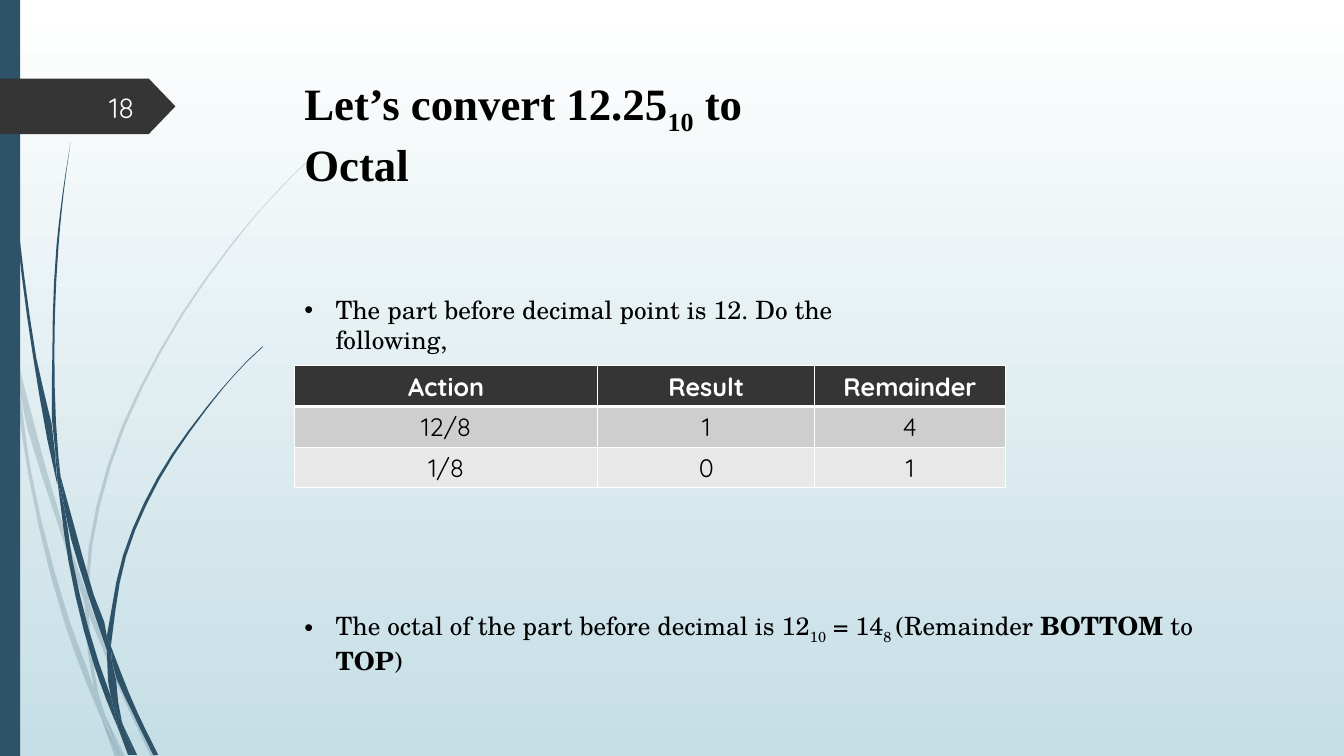
from pptx import Presentation
from pptx.dml.color import RGBColor
from pptx.enum.shapes import MSO_SHAPE
from pptx.enum.text import MSO_ANCHOR, PP_ALIGN
from pptx.oxml.ns import qn
from pptx.util import Emu, Inches, Pt
from lxml import etree

RECT, TAG = MSO_SHAPE.RECTANGLE, MSO_SHAPE.PENTAGON
TOP, MIDDLE = MSO_ANCHOR.TOP, MSO_ANCHOR.MIDDLE
LEFT, CENTER, RIGHT = PP_ALIGN.LEFT, PP_ALIGN.CENTER, PP_ALIGN.RIGHT
W, H = 13.33, 7.5
MARGIN = 2.92
COLORS = {"sky": "C5DEE5", "white": "FFFFFF", "navy": "2E5369", "dark": "353535",
          "black": "000000", "band1": "CECECE", "band2": "E8E8E8", "number": "FEFFFF"}
TITLE = {"size": Pt(32), "name": "Times New Roman", "bold": True}
BODY = {"size": Pt(18), "name": "TeX Gyre Schola"}
CELL = {"size": Pt(18), "name": "Quicksand"}
NUMBER = {"size": Pt(20), "name": "Quicksand"}
SUB = {"baseline": "-25000"}
ROWS = [["Action", "Result", "Remainder"], ["12/8", "1", "4"], ["1/8", "0", "1"]]

PALE_WISPS = [
    ".11,3.5 .09,3.22 0,2.82|0,2.99 .1,3.44 .11,3.5",
    ".14,3.45 .17,3.76 .58,5.22 .84,5.99|.85,5.86 .62,5.2 .14,3.45",
    ".88,5.96 .88,6.1|.88,6.1 1.23,6.94 1.5,7.51|1.55,7.51 1.27,6.92 .92,6.07 .88,5.96",
    "1.05,7.11 1.19,7.51|1.24,7.51 1.05,7.11",
    ".11,3.5 .17,3.76 .31,4.69 .7,6.19 .93,6.83 .99,7.07 1.01,7.14"
    "|1.01,7.14 .92,6.93 .65,6.21 .28,4.7 .11,3.5",
    ".84,5.99 .87,6.46 .93,6.83 .96,6.92 1.05,7.11"
    "|1.05,7.11 1.03,7.06 .91,6.46 .88,6.1 .88,6.08 .84,5.99",
    ".88,5.96 .88,5.84 1.1,4.62 1.6,3.49 2.29,2.45 2.68,1.98 2.9,1.75 3.12,1.54"
    "|3.12,1.53 2.89,1.75 2.68,1.97 2.28,2.44 1.58,3.48 1.07,4.61 .85,5.84 .85,5.86",
    "1.01,7.14 1.14,7.51|1.19,7.51 1.01,7.14",
    ".84,5.99 .88,6.08 .88,6.1|.88,5.96 .85,5.86",
    ".93,6.83 .99,7.07 1.01,7.14 1.19,7.51|1.19,7.51 1.05,7.11 .96,6.92 .93,6.83",
]
DARK_WISPS = [
    ".03,0 .04,.48 .07,1.1 .17,2.33 .33,3.55 .56,4.77 .57,4.81"
    "|.57,4.81 .55,4.57 .55,4.53 .36,3.55 .19,2.32 .08,1.09 .05,.48 .04,0",
    ".6,4.72 .64,5.05 .88,5.92 1.06,6.45|1.06,6.33 1.06,6.31 .93,5.9 .6,4.72",
    "1.1,6.41 1.11,6.56 1.32,7.08 1.52,7.49|1.57,7.49 1.36,7.06 1.13,6.49 1.1,6.41",
    ".57,4.77 .68,5.57 .93,6.59 1.11,7.08 1.17,7.22"
    "|1.17,7.22 1.16,7.17 1.1,6.91 .98,6.57 .72,5.56 .64,5.05 .57,4.77",
    ".6,4.72 .58,4.53 .54,3.49 .58,2.45 .63,1.93 .7,1.41"
    "|.7,1.41 .62,1.93 .56,2.45 .52,3.49 .55,4.49 .6,4.72",
    "1.22,7.19 1.33,7.49|1.36,7.49 1.22,7.19",
    ".55,4.49 .55,4.53 .57,4.77 .64,5.05|.64,5.05 .6,4.72 .55,4.49",
    "1.1,6.41 1.11,6.33 1.25,5.52 1.58,4.76 2.05,4.06 2.31,3.74 2.45,3.59 2.61,3.44"
    "|2.6,3.44 2.45,3.58 2.31,3.73 2.04,4.05 1.56,4.74 1.22,5.51 1.06,6.31",
    "1.17,7.22 1.27,7.49|1.31,7.49 1.17,7.22",
    "1.06,6.45 1.1,6.91 1.16,7.06 1.22,7.19|1.22,7.19 1.21,7.16 1.11,6.56 1.09,6.51 1.06,6.45",
    "1.06,6.31 1.06,6.45|1.09,6.51 1.11,6.56|1.1,6.41 1.06,6.31",
    "1.1,6.91 1.16,7.17 1.17,7.22 1.3,7.49|1.33,7.49 1.22,7.19 1.16,7.06 1.1,6.91",
]


def rgb(name):
    """Look up a colour by its name."""
    return RGBColor.from_string(COLORS[name])


def paint(sp, color, alpha=None):
    """Give a shape a plain fill, without line or shadow."""
    sp.shadow.inherit = False
    sp.fill.solid()
    sp.fill.fore_color.rgb = rgb(color)
    sp.line.fill.background()
    if alpha:
        clr = sp.fill._xPr.find(".//" + qn("a:srgbClr"))
        etree.SubElement(clr, qn("a:alpha")).set("val", str(alpha * 1000))


def smooth(edge):
    """Return points on a curve through the knots of an edge, more on long spans."""
    knots = [complex(*map(float, k.split(","))) for k in edge.split()]
    spans = [b - a for a, b in zip(knots, knots[1:])]
    aims = [v / abs(v) for v in spans]
    turns = [(a * abs(w) + b * abs(v)) / (abs(v) + abs(w))
             for a, b, v, w in zip(aims, aims[1:], spans, spans[1:])]
    turns = [aims[0]] + turns + [aims[-1]]
    points = [knots[0]]
    for a, v, m, n in zip(knots, spans, turns, turns[1:]):
        steps = 1 if abs(v) < 0.4 else 3
        for t in (i / steps for i in range(1, steps + 1)):
            bend = m * t * (1 - t) ** 2 - n * t * t * (1 - t)
            points.append(a + v * t * t * (3 - 2 * t) + abs(v) * bend)
    return points


def add_wisps(s, x, y, wisps, alpha=None):
    """Draw a group of curved blades from the given corner."""
    shapes = s.shapes.add_group_shape().shapes
    for wisp in wisps:
        curve = [z for edge in wisp.split("|") for z in smooth(edge)]
        points = [(Inches(x + z.real), Inches(y + z.imag)) for z in dict.fromkeys(curve)]
        fb = shapes.build_freeform(*points[0], scale=1.0)
        fb.add_line_segments(points[1:], close=True)
        paint(fb.convert_to_shape(), "navy", alpha)


def write(p, runs, font, color, align=LEFT):
    """Fill a paragraph with runs of text and format changes."""
    p.alignment = align
    for text, changes in runs:
        r = p.add_run()
        r.text = text
        r.font.color.rgb = rgb(color)
        for key, value in {**font, **changes}.items():
            if key == "baseline":
                r.font._element.set(key, value)
            else:
                setattr(r.font, key, value)


def add_text(s, box, runs, font, color="black", align=LEFT, anchor=TOP, bullet=False):
    """Place one wrapped paragraph in a box."""
    tf = s.shapes.add_textbox(*map(Inches, box)).text_frame
    tf.word_wrap, tf.vertical_anchor = True, anchor
    p = tf.paragraphs[0]
    write(p, runs, font, color, align)
    if bullet:
        pPr = p._p.get_or_add_pPr()
        pPr.set("marL", str(Inches(0.31)))
        pPr.set("indent", str(-Inches(0.31)))
        etree.SubElement(pPr, qn("a:buFont")).set("typeface", "Arial")
        etree.SubElement(pPr, qn("a:buChar")).set("char", "•")


def add_borders(cell, bottom):
    """Draw white borders round a cell, before its fill."""
    tcPr = cell._tc.get_or_add_tcPr()
    for i, (side, width) in enumerate((("L", 1), ("R", 1), ("T", 1), ("B", bottom))):
        ln = etree.Element(qn("a:ln" + side), w=str(Pt(width)))
        fill = etree.SubElement(ln, qn("a:solidFill"))
        etree.SubElement(fill, qn("a:srgbClr")).set("val", COLORS["white"])
        tcPr.insert(i, ln)


def add_division_table(s, x, y, widths, height):
    """Build the table of divisions and remainders."""
    box = map(Inches, (x, y, sum(widths), height))
    table = s.shapes.add_table(len(ROWS), len(widths), *box).table
    for col, width in zip(table.columns, widths):
        col.width = Inches(width)
    styles = [("dark", "white", True, 3), ("band1", "black", False, 1), ("band2", "black", False, 1)]
    for i, (row, (fill, color, bold, bottom)) in enumerate(zip(ROWS, styles)):
        for j, text in enumerate(row):
            cell = table.cell(i, j)
            cell.fill.solid()
            cell.fill.fore_color.rgb = rgb(fill)
            add_borders(cell, bottom)
            write(cell.text_frame.paragraphs[0], [(text, {"bold": bold})], CELL, color, CENTER)


def add_backdrop(s):
    """Draw the gradient, the wisps, the side bar and the number tag."""
    fill = s.background.fill
    fill.gradient()
    fill.gradient_angle = 270
    for stop, color in zip(fill.gradient_stops, ("white", "sky")):
        stop.color.rgb = rgb(color)
    add_wisps(s, 0, 0, PALE_WISPS, 20)
    add_wisps(s, 0, 0, DARK_WISPS)
    paint(s.shapes.add_shape(RECT, Emu(0), Emu(0), Inches(0.2), Inches(H)), "navy")
    tag = s.shapes.add_shape(TAG, *map(Inches, (0, 0.78, 1.74, 0.55)))
    tag.adjustments[0] = 0.48
    paint(tag, "dark")
    add_text(s, (0.58, 0.86, 0.85, 0.4), [("18", {})], NUMBER, "number", RIGHT, MIDDLE)


def add_content(s, x):
    """Place the title, the two bullets and the table along a left margin."""
    add_text(s, (x, 0.7, 5.44, 0.64),
             [("Let’s convert 12.25", {}), ("10", SUB), (" to Octal", {})], TITLE)
    add_text(s, (x, 2.87, 6.43, 1.21),
             [("The part before decimal point is 12. Do the following,", {})], BODY, bullet=True)
    add_division_table(s, x, 3.63, (3.01, 2.15, 1.89), 1.21)
    add_text(s, (x, 6.01, 9.49, 0.4),
             [("The octal of the part before decimal is 12", {}), ("10", SUB), (" = 14", {}),
              ("8 ", SUB), ("(Remainder ", {}), ("BOTTOM ", {"bold": True}), ("to ", {}),
              ("TOP", {"bold": True}), (")", {})], BODY, bullet=True)


def main():
    """Build and save the slide."""
    prs = Presentation()
    prs.slide_width, prs.slide_height = Inches(W), Inches(H)
    s = prs.slides.add_slide(prs.slide_layouts[6])
    add_backdrop(s)
    add_content(s, MARGIN)
    prs.save("out.pptx")


if __name__ == "__main__":
    main()
